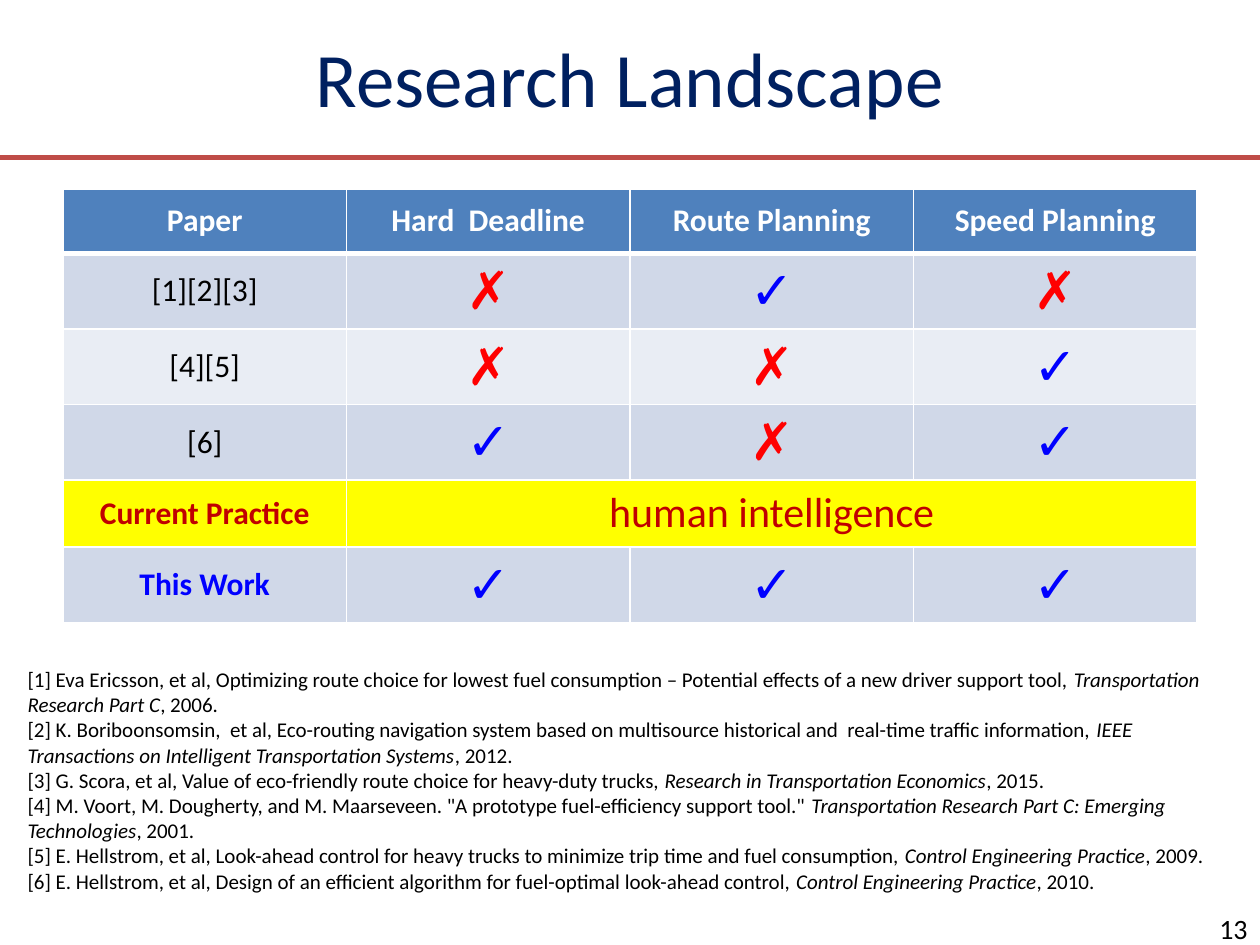
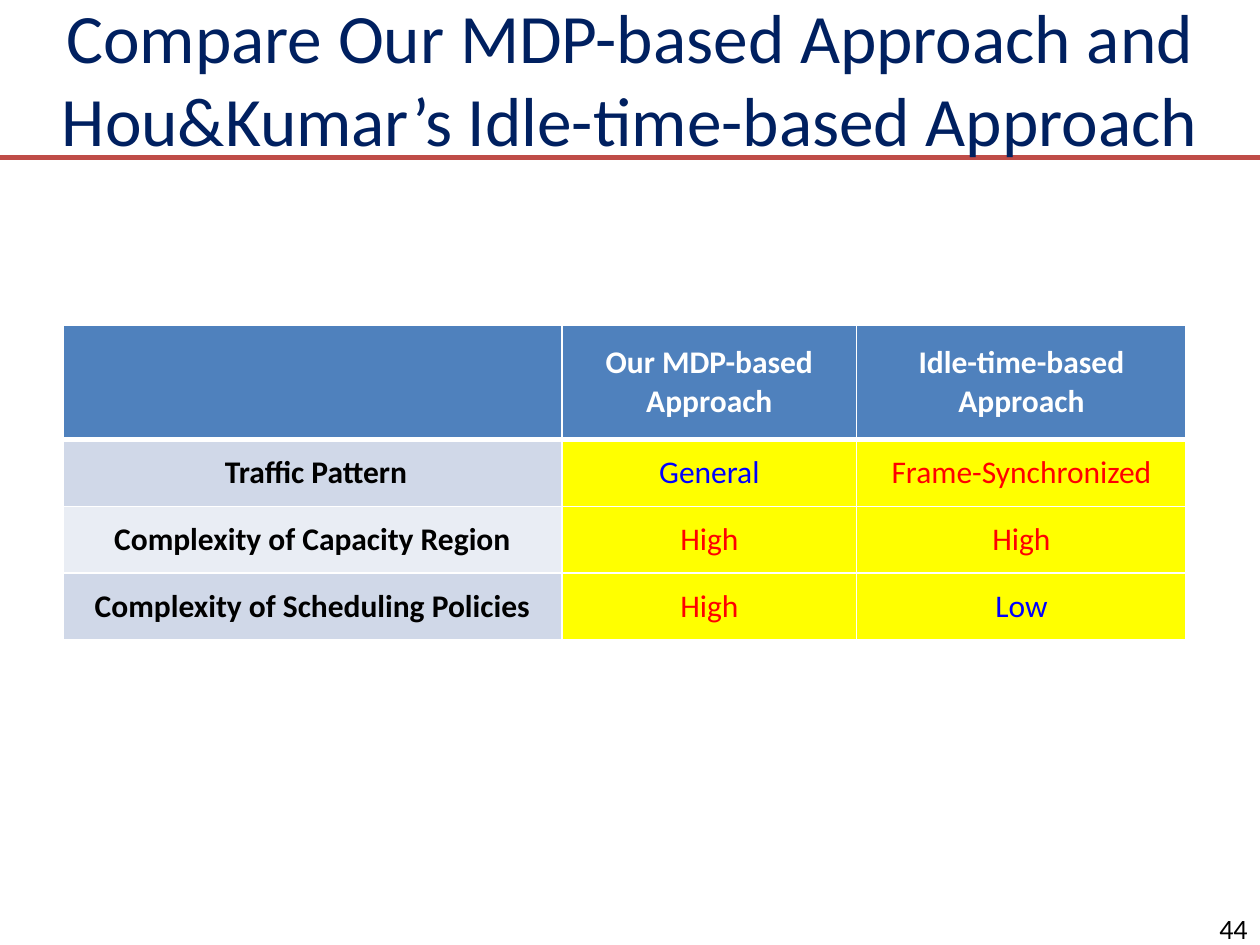
from dataclasses import dataclass
from typing import NamedTuple

from lxml.etree import SubElement
from pptx import Presentation
from pptx.dml.color import RGBColor as Rgb
from pptx.enum.shapes import MSO_CONNECTOR as Connector
from pptx.enum.text import MSO_ANCHOR as Anchor, MSO_AUTO_SIZE as AutoSize, PP_ALIGN as Align
from pptx.oxml.ns import qn
from pptx.util import Inches, Pt

FONT = "Calibri"
COLORS = {
    "title": "002060", "rule": "BF4C48", "black": "000000", "white": "FFFFFF",
    "header": "4F81BD", "band_dark": "D0D8E8", "band_light": "E9EDF4",
    "highlight": "FFFF00", "blue": "0000FF", "red": "FF0000", "dark_red": "C00000",
}
SLIDE_WIDTH, SLIDE_HEIGHT = Inches(10), Inches(7.5)
GRID = 100
RULE_ROW = 16.67
BODY_ROW = 7.07


class Area(NamedTuple):
    """A rectangle in columns and rows of the slide grid."""

    left: float
    top: float
    width: float
    height: float


class TextStyle(NamedTuple):
    """Size, colour and weight of a run."""

    size: float
    color: str
    bold: bool = False


class Entry(NamedTuple):
    """One table cell; span counts the columns it covers."""

    text: str
    style: TextStyle
    highlighted: bool = False
    span: int = 1


class Reference(NamedTuple):
    """A citation with its journal set in italics."""

    work: str
    journal: str
    year: str


@dataclass
class Comparison:
    """A table placed on the slide grid."""

    left: float
    top: float
    columns: list[float]
    header_row: float
    rows: list[list[Entry]]


TITLE_AREA = Area(0, 0, 100, 16.27)
NUMBER_AREA = Area(76.7, 96.4, 23.3, 3.6)
REFERENCE_AREA = Area(1.2, 69.87, 97.5, 25.6)
NUMBER = TextStyle(16, "black")
CITATION = TextStyle(12, "black")
HEADING = TextStyle(18, "white", True)
PAPER = TextStyle(18, "black")
CRITERION = TextStyle(18, "black", True)
GOOD = TextStyle(18, "blue")
BAD = TextStyle(18, "red")
YES = Entry("✓", TextStyle(30, "blue"))
NO = Entry("✗", TextStyle(30, "red"))


def headings(*labels: str) -> list[Entry]:
    """Make the header row of a table."""
    return [Entry(label, HEADING) for label in labels]


def verdicts(criterion: str, *ratings: tuple[str, TextStyle]) -> list[Entry]:
    """Make a row of highlighted ratings for one criterion."""
    return [Entry(criterion, CRITERION)] + [Entry(text, style, True) for text, style in ratings]


LANDSCAPE = Comparison(5, 20, [22.5] * 4, 6.8, [
    headings("Paper", "Hard  Deadline", "Route Planning", "Speed Planning"),
    [Entry("[1][2][3]", PAPER), NO, YES, NO],
    [Entry("[4][5]", PAPER), NO, NO, YES],
    [Entry("[6]", PAPER), YES, NO, YES],
    [Entry("Current Practice", TextStyle(18, "dark_red", True), True),
     Entry("human intelligence", TextStyle(24, "dark_red"), True, 3)],
    [Entry("This Work", TextStyle(18, "blue", True)), YES, YES, YES],
])
APPROACHES = Comparison(5, 34.4, [39.6, 23.4, 26.15], 12.13, [
    headings("", "Our MDP-based Approach", "Idle-time-based Approach"),
    verdicts(" Traffic Pattern", ("General", GOOD), ("Frame-Synchronized", BAD)),
    verdicts("Complexity of Capacity Region", ("High", BAD), ("High", BAD)),
    verdicts("Complexity of Scheduling Policies", ("High", BAD), ("Low", GOOD)),
])
REFERENCES = [
    Reference("[1] Eva Ericsson, et al, Optimizing route choice for lowest fuel consumption – "
              "Potential effects of a new driver support tool, ",
              "Transportation Research Part C", ", 2006."),
    Reference("[2] K. Boriboonsomsin,  et al, Eco-routing navigation system based on multisource "
              "historical and  real-time traffic information, ",
              "IEEE Transactions on Intelligent Transportation Systems", ", 2012."),
    Reference("[3] G. Scora, et al, Value of eco-friendly route choice for heavy-duty trucks, ",
              "Research in Transportation Economics", ", 2015."),
    Reference("[4] M. Voort, M. Dougherty, and M. Maarseveen. "
              '"A prototype fuel-efficiency support tool." ',
              "Transportation Research Part C: Emerging Technologies", ", 2001."),
    Reference("[5] E. Hellstrom, et al, Look-ahead control for heavy trucks to minimize "
              "trip time and fuel consumption, ", "Control Engineering Practice", ", 2009."),
    Reference("[6] E. Hellstrom, et al, Design of an efficient algorithm for fuel-optimal "
              "look-ahead control, ", "Control Engineering Practice", ", 2010."),
]


def across(columns: float) -> int:
    """Turn grid columns into a length."""
    return round(SLIDE_WIDTH * columns / GRID)


def down(rows: float) -> int:
    """Turn grid rows into a length."""
    return round(SLIDE_HEIGHT * rows / GRID)


def place(area: Area) -> tuple[int, int, int, int]:
    """Turn a grid area into left, top, width and height."""
    return across(area.left), down(area.top), across(area.width), down(area.height)


def color(name: str) -> Rgb:
    """Look up a colour by its role."""
    return Rgb.from_string(COLORS[name])


def style_run(run, style: TextStyle, italic: bool = False) -> None:
    """Apply a text style to a run."""
    run.font.name = FONT
    run.font.size = Pt(style.size)
    run.font.bold = style.bold
    run.font.italic = italic
    run.font.color.rgb = color(style.color)


def write_line(frame, text: str, style: TextStyle, align: Align) -> None:
    """Fill a text frame with one styled paragraph."""
    frame.text = text
    frame.paragraphs[0].alignment = align
    for run in frame.paragraphs[0].runs:
        style_run(run, style)


def add_label(slide, area: Area, text: str, style: TextStyle, align: Align) -> None:
    """Add a vertically centred text box."""
    frame = slide.shapes.add_textbox(*place(area)).text_frame
    frame.word_wrap = True
    frame.vertical_anchor = Anchor.MIDDLE
    write_line(frame, text, style, align)


def add_frame_slide(deck, title: str, title_size: float, number: int):
    """Add a slide with the shared rule, title and page number."""
    slide = deck.slides.add_slide(deck.slide_layouts[6])
    rule = slide.shapes.add_connector(
        Connector.STRAIGHT, 0, down(RULE_ROW), SLIDE_WIDTH, down(RULE_ROW))
    rule.line.color.rgb = color("rule")
    rule.line.width = Pt(3)
    SubElement(rule._element.spPr, qn("a:effectLst"))
    add_label(slide, TITLE_AREA, title, TextStyle(title_size, "title"), Align.CENTER)
    add_label(slide, NUMBER_AREA, str(number), NUMBER, Align.RIGHT)
    return slide


def border_cell(cell, row: int) -> None:
    """Draw white cell borders, heavier between header and body."""
    heavy = {0: "B", 1: "T"}.get(row)
    properties = cell._tc.get_or_add_tcPr()
    for side in "LRTB":
        width = Pt(3 if side == heavy else 1)
        edge = SubElement(properties, qn(f"a:ln{side}"), w=str(width))
        SubElement(SubElement(edge, qn("a:solidFill")), qn("a:srgbClr"), val=COLORS["white"])


def fill_name(row: int, highlighted: bool) -> str:
    """Choose the fill of a cell."""
    if highlighted:
        return "highlight"
    if row == 0:
        return "header"
    return "band_dark" if row % 2 else "band_light"


def add_comparison(slide, comparison: Comparison) -> None:
    """Add a banded comparison table."""
    heights = [comparison.header_row] + [BODY_ROW] * (len(comparison.rows) - 1)
    area = Area(comparison.left, comparison.top, sum(comparison.columns), sum(heights))
    table = slide.shapes.add_table(len(heights), len(comparison.columns), *place(area)).table
    table.first_row = table.horz_banding = False
    for column, width in zip(table.columns, comparison.columns):
        column.width = across(width)
    for row, (height, entries) in enumerate(zip(heights, comparison.rows)):
        table.rows[row].height = down(height)
        column = 0
        for entry in entries:
            first, last = table.cell(row, column), table.cell(row, column + entry.span - 1)
            for offset in range(entry.span):
                covered = table.cell(row, column + offset)
                border_cell(covered, row)
                covered.fill.solid()
                covered.fill.fore_color.rgb = color(fill_name(row, entry.highlighted))
            if entry.span > 1:
                first.merge(last)
            first.vertical_anchor = Anchor.MIDDLE
            write_line(first.text_frame, entry.text, entry.style, Align.CENTER)
            column += entry.span


def add_references(slide, references: list[Reference]) -> None:
    """Add the list of citations."""
    frame = slide.shapes.add_textbox(*place(REFERENCE_AREA)).text_frame
    frame.word_wrap = True
    frame.auto_size = AutoSize.SHAPE_TO_FIT_TEXT
    for index, reference in enumerate(references):
        paragraph = frame.add_paragraph() if index else frame.paragraphs[0]
        for part in reference:
            run = paragraph.add_run()
            run.text = part
            style_run(run, CITATION, italic=part == reference.journal)


def main() -> None:
    """Build the deck."""
    deck = Presentation()
    deck.slide_width, deck.slide_height = SLIDE_WIDTH, SLIDE_HEIGHT
    landscape = add_frame_slide(deck, "Research Landscape", 44, 13)
    add_comparison(landscape, LANDSCAPE)
    add_references(landscape, REFERENCES)
    approaches = add_frame_slide(
        deck, "Compare Our MDP-based Approach and Hou&Kumar’s Idle-time-based Approach", 39.6, 44)
    add_comparison(approaches, APPROACHES)
    deck.save("out.pptx")


if __name__ == "__main__":
    main()
